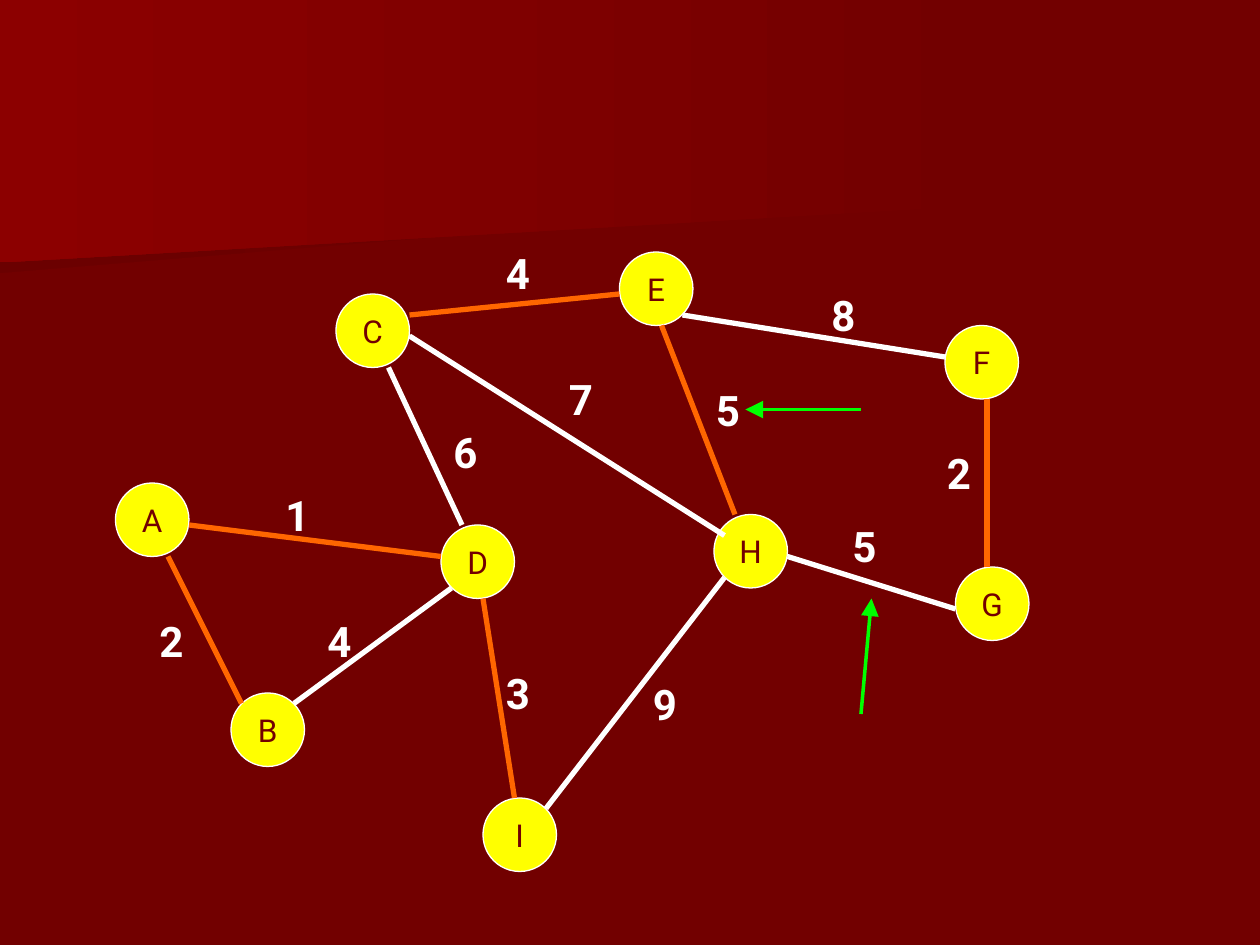
from lxml import etree
from pptx import Presentation
from pptx.dml.color import RGBColor
from pptx.enum import shapes, text
from pptx.oxml import ns
from pptx.util import Pt

COLORS = {
    "background": "720000", "shade": "6B0000", "glow": "8C0000",
    "node": "FFFF00", "white": "FFFFFF", "chosen": "FF6600", "pointer": "00FF00",
}
FONT = "Roboto"
NODE_SIZE = 42


def color(name):
    return RGBColor.from_string(COLORS[name])


def add_line(start, end, color_name, width):
    line = slide.shapes.add_connector(
        shapes.MSO_CONNECTOR.STRAIGHT, *(Pt(value) for value in start + end))
    line.line.color.rgb = color(color_name)
    line.line.width = Pt(width)
    etree.SubElement(line._element.spPr, ns.qn("a:effectLst"))
    return line


presentation = Presentation()
presentation.slide_width, presentation.slide_height = Pt(720), Pt(540)
slide = presentation.slides.add_slide(presentation.slide_layouts[6])
slide.background.fill.solid()
slide.background.fill.fore_color.rgb = color("background")

# Background bands: outline and the colour at the left end
bands = [
    ([(560.2, 110.2), (0, 156.2), (0, 72.7), (560.9, 72.7), (560.2, 92.2)], "shade"),
    ([(570.2, 116.6), (0, 149.8), (0, 0), (570.2, 0)], "glow"),
]
for points, left_color in bands:
    builder = slide.shapes.build_freeform(*points[0], scale=Pt(1))
    builder.add_line_segments(points[1:], close=True)
    band = builder.convert_to_shape()
    band.shadow.inherit = False
    band.line.fill.background()
    band.fill.gradient()
    band.fill.gradient_angle = 180
    for stop, name in zip(band.fill.gradient_stops, ("background", left_color)):
        stop.color.rgb = color(name)

# Graph nodes: left and top
nodes = {
    "C": (192, 168), "F": (540, 186), "I": (276, 456),
    "B": (132, 396), "H": (408, 294), "D": (252, 300),
    "A": (66, 276), "G": (546, 324), "E": (354, 144),
}
for name, (left, top) in nodes.items():
    node = slide.shapes.add_shape(
        shapes.MSO_SHAPE.OVAL, Pt(left), Pt(top), Pt(NODE_SIZE), Pt(NODE_SIZE))
    node.shadow.inherit = False
    node.fill.solid()
    node.fill.fore_color.rgb = color("node")
    node.line.color.rgb = color("white")
    node.line.width = Pt(0.75)
    frame = node.text_frame
    frame.word_wrap = False
    frame.vertical_anchor = text.MSO_ANCHOR.MIDDLE
    paragraph = frame.paragraphs[0]
    paragraph.text = name
    paragraph.alignment = text.PP_ALIGN.CENTER
    paragraph.font.name = FONT
    paragraph.font.size = Pt(18)
    paragraph.font.color.rgb = color("background")

# Edges: ends, colour, weight and the left and top of the weight label
edges = [
    ((168, 402), (258, 336), "white", 4, (180, 348)),   # B-D
    ((96, 318), (138, 402), "chosen", 2, (84, 348)),    # A-B
    ((276, 342), (294, 456), "chosen", 3, (282, 378)),  # D-I
    ((108, 300), (252, 318), "chosen", 1, (156, 276)),  # A-D
    ((450, 318), (546, 348), "white", 5, (480, 294)),   # H-G
    ((390, 180), (540, 204), "white", 8, (468, 162)),   # E-F
    ((414, 330), (312, 462), "white", 9, (366, 384)),   # H-I
    ((222, 210), (264, 300), "white", 6, (252, 240)),   # C-D
    ((564, 228), (564, 324), "chosen", 2, (534, 252)),  # F-G
    ((378, 186), (420, 294), "chosen", 5, (402, 216)),  # E-H
    ((234, 180), (354, 168), "chosen", 4, (282, 138)),  # C-E
    ((234, 192), (414, 306), "white", 7, (318, 210)),   # C-H
]
for start, end, color_name, _, _ in edges:
    add_line(start, end, color_name, 3)

# Edge weights
for _, _, _, weight, (left, top) in edges:
    label = slide.shapes.add_textbox(Pt(left), Pt(top), Pt(23), Pt(36))
    frame = label.text_frame
    frame.word_wrap = True
    frame.auto_size = text.MSO_AUTO_SIZE.SHAPE_TO_FIT_TEXT
    paragraph = frame.paragraphs[0]
    paragraph.text = str(weight)
    paragraph.font.name = FONT
    paragraph.font.size = Pt(24)
    paragraph.font.bold = True
    paragraph.font.color.rgb = color("white")

# Arrows to the two edges of weight 5
for start, end in [((492, 408), (498, 342)), ((492, 234), (426, 234))]:
    arrow = add_line(start, end, "pointer", 2)
    outline = arrow._element.spPr.find(ns.qn("a:ln"))
    etree.SubElement(outline, ns.qn("a:tailEnd"), type="triangle", w="lg", len="lg")

presentation.save("out.pptx")
